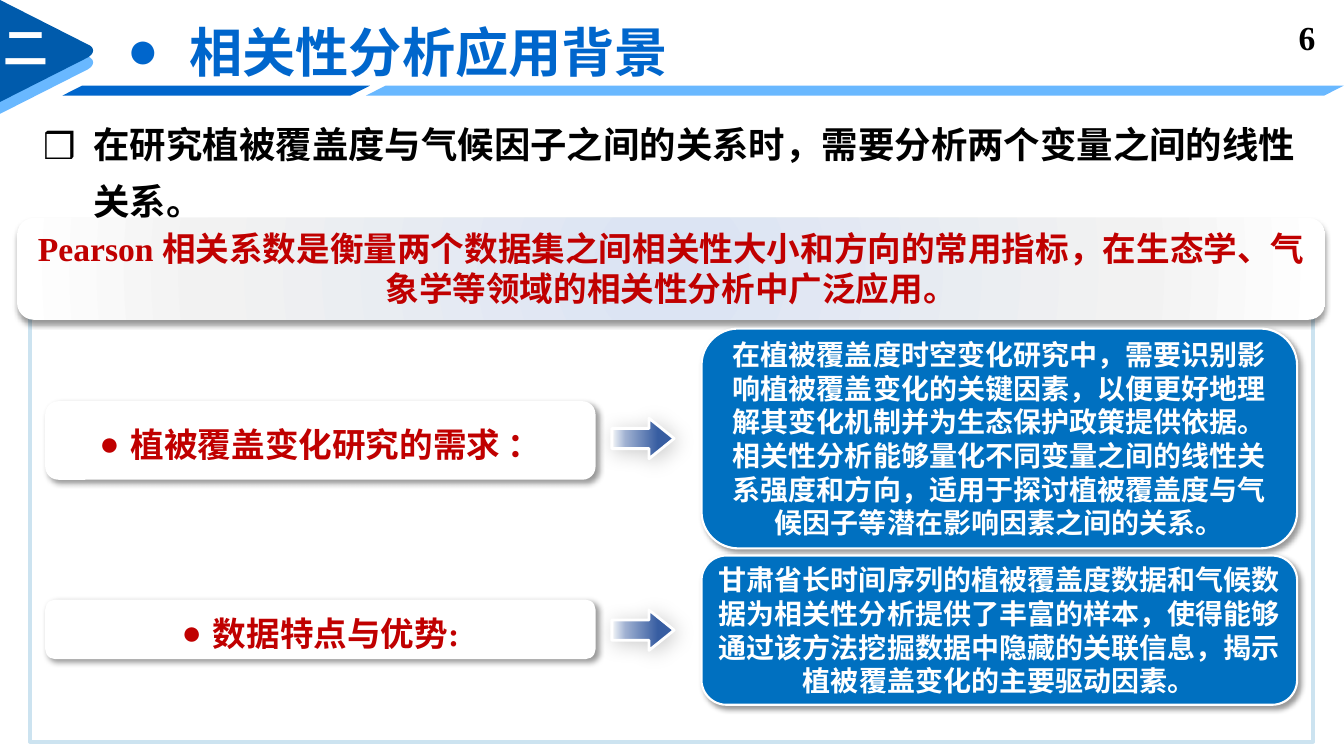
from dataclasses import dataclass

from lxml import etree
from pptx import Presentation
from pptx.dml.color import RGBColor
from pptx.enum.shapes import MSO_SHAPE
from pptx.enum.text import MSO_ANCHOR, PP_ALIGN
from pptx.oxml.ns import qn
from pptx.util import Cm, Pt

RECT, ROUND = MSO_SHAPE.RECTANGLE, MSO_SHAPE.ROUNDED_RECTANGLE
ARROW, BAR = MSO_SHAPE.RIGHT_ARROW, MSO_SHAPE.PARALLELOGRAM
LEFT, CENTER, RIGHT = PP_ALIGN.LEFT, PP_ALIGN.CENTER, PP_ALIGN.RIGHT
TOP, MIDDLE = MSO_ANCHOR.TOP, MSO_ANCHOR.MIDDLE

BLACK = RGBColor(0x00, 0x00, 0x00)
WHITE = RGBColor(0xFF, 0xFF, 0xFF)
RED = RGBColor(0xC0, 0x00, 0x00)
TITLE_BLUE = RGBColor(0x00, 0x66, 0xCC)
DARK_BLUE = RGBColor(0x00, 0x5B, 0xAC)
LIGHT_BLUE = RGBColor(0x69, 0xB8, 0xFF)
DETAIL_BLUE = RGBColor(0x00, 0x70, 0xC0)
FRAME_BLUE = RGBColor(0xCC, 0xE3, 0xF0)

SERIF, SANS = "Times New Roman", "Noto Sans CJK SC"
BANNER_STOPS = [(0, "DAE3F3", 100), (71, "F2F2F2", 100), (100, "FFFFFF", 100)]
ARROW_STOPS = [(0, "FFFFFF", 62), (8, "DBE2EE", 100), (22, "A2B3D3", 100), (73, "385EA2", 100)]


@dataclass(frozen=True)
class Box:
    x: float
    y: float
    w: float
    h: float

    def emu(self) -> tuple:
        return Cm(self.x), Cm(self.y), Cm(self.w), Cm(self.h)


@dataclass(frozen=True)
class Style:
    size: int
    color: RGBColor
    font: str = SERIF
    align: PP_ALIGN = LEFT
    anchor: MSO_ANCHOR = TOP
    spacing: float = 1.0
    bullet: str = ""
    indent: float = 0


@dataclass(frozen=True)
class Topic:
    label: str
    label_box: Box
    arrow_y: float
    detail: str
    detail_box: Box


INTRO = Style(26, BLACK, SANS, spacing=1.3, bullet="❒", indent=1.27)
PAGE = Style(24, BLACK, align=RIGHT)
TITLE = Style(38, TITLE_BLUE, anchor=MIDDLE, spacing=1.5, bullet="●", indent=1.57)
NUMERAL = Style(32, WHITE)
BANNER = Style(24, RED, align=CENTER)
LABEL = Style(24, RED, align=CENTER, anchor=MIDDLE, spacing=1.2, bullet="●", indent=0.79)
DETAIL = Style(20, WHITE, align=CENTER, anchor=MIDDLE)

TOPICS = [
    Topic("植被覆盖变化研究的需求 ：", Box(1.14, 10.11, 13.87, 1.98), 10.54,
          "在植被覆盖度时空变化研究中，需要识别影响植被覆盖变化的关键因素，"
          "以便更好地理解其变化机制并为生态保护政策提供依据。"
          "相关性分析能够量化不同变量之间的线性关系强度和方向，"
          "适用于探讨植被覆盖度与气候因子等潜在影响因素之间的关系。",
          Box(17.68, 8.28, 15.01, 5.54)),
    Topic("数据特点与优势:", Box(1.14, 15.11, 13.87, 1.5), 15.37,
          "甘肃省长时间序列的植被覆盖度数据和气候数据为相关性分析提供了丰富的样本，"
          "使得能够通过该方法挖掘数据中隐藏的关联信息，揭示植被覆盖变化的主要驱动因素。",
          Box(17.68, 14, 15.01, 3.76)),
]


def child(parent, tag: str, **attrs):
    return etree.SubElement(parent, qn(tag), {k: str(v) for k, v in attrs.items()})


def write(sp, text: str, style: Style) -> None:
    tf = sp.text_frame
    tf.word_wrap = True
    tf.vertical_anchor = style.anchor
    p = tf.paragraphs[0]
    if style.bullet:
        ppr = p._p.get_or_add_pPr()
        ppr.set("marL", str(Cm(style.indent)))
        ppr.set("indent", str(-Cm(style.indent)))
        child(ppr, "a:buFont", typeface=style.font)
        child(ppr, "a:buChar", char=style.bullet)
    p.alignment = style.align
    p.line_spacing = Pt(round(style.size * 1.2 * style.spacing, 1))
    r = p.add_run()
    r.text = text
    r.font.size = Pt(style.size)
    r.font.bold = True
    r.font.name = style.font
    r.font.color.rgb = style.color
    child(r._r.get_or_add_rPr(), "a:ea", typeface=SANS)


def add_text(slide, box: Box, text: str, style: Style) -> None:
    write(slide.shapes.add_textbox(*box.emu()), text, style)


def paint(sp, fill: RGBColor | None, line: RGBColor | None = None, width: float = 0) -> None:
    sp.shadow.inherit = False
    if fill is None:
        sp.fill.background()
    else:
        sp.fill.solid()
        sp.fill.fore_color.rgb = fill
    if line is None:
        sp.line.fill.background()
    else:
        sp.line.color.rgb = line
        sp.line.width = Pt(width)


def add_shape(slide, kind: MSO_SHAPE, box: Box, fill: RGBColor | None,
              line: RGBColor | None = None, width: float = 0):
    sp = slide.shapes.add_shape(kind, *box.emu())
    paint(sp, fill, line, width)
    return sp


def add_shadow(sp, angle: int, alpha: int = 40, blur: int = 4) -> None:
    effects = sp._element.spPr.find(qn("a:effectLst"))
    shadow = child(effects, "a:outerShdw", blurRad=Pt(blur), dist=Pt(3),
                   dir=angle * 60000, algn="ctr", rotWithShape=0)
    color = child(shadow, "a:srgbClr", val="000000")
    child(color, "a:alpha", val=alpha * 1000)


def add_gradient(sp, stops: list, radial: bool = False) -> None:
    sp.fill.gradient()
    grad = sp._element.spPr.find(qn("a:gradFill"))
    for old in list(grad):
        grad.remove(old)
    stop_list = child(grad, "a:gsLst")
    for pos, rgb, alpha in stops:
        color = child(child(stop_list, "a:gs", pos=pos * 1000), "a:srgbClr", val=rgb)
        if alpha < 100:
            child(color, "a:alpha", val=alpha * 1000)
    if radial:
        way = child(grad, "a:path", path="circle")
        child(way, "a:fillToRect", l=50000, t=50000, r=50000, b=50000)
    else:
        child(grad, "a:lin", ang=0, scaled=0)


def add_chevron(slide, top: float, fill: RGBColor) -> None:
    curve = [(2.21, 1.12), (2.39, 1.19), (2.39, 1.35), (2.21, 1.45)]
    points = []
    for step in range(13):
        t = step / 12
        weights = ((1 - t) ** 3, 3 * t * (1 - t) ** 2, 3 * t * t * (1 - t), t ** 3)
        x, y = (sum(w * c[axis] for w, c in zip(weights, curve)) for axis in (0, 1))
        points.append((Cm(x), Cm(top + y)))
    builder = slide.shapes.build_freeform(0, Cm(top))
    builder.add_line_segments(points + [(0, Cm(top + 2.57))], close=True)
    paint(builder.convert_to_shape(), fill)


def add_bar(slide, x: float, width: float, fill: RGBColor) -> None:
    sp = add_shape(slide, BAR, Box(x, 2.16, width, 0.25), fill)
    sp.adjustments[0] = 1.97
    sp.rotation = 180


def add_topic(slide, topic: Topic) -> None:
    detail = add_shape(slide, ROUND, topic.detail_box, DETAIL_BLUE, WHITE, 1.5)
    add_shadow(detail, 45)
    write(detail, topic.detail, DETAIL)
    label = add_shape(slide, ROUND, topic.label_box, WHITE)
    add_shadow(label, 45)
    write(label, topic.label, LABEL)
    arrow = add_shape(slide, ARROW, Box(15.42, topic.arrow_y, 1.57, 1.02), WHITE, WHITE, 2)
    arrow.adjustments[1] = 0.62
    add_gradient(arrow, ARROW_STOPS)
    add_shadow(arrow, 45, 20, 15)


def main() -> None:
    prs = Presentation()
    prs.slide_width, prs.slide_height = Cm(33.87), Cm(19.05)
    slide = prs.slides.add_slide(prs.slide_layouts[6])
    add_text(slide, Box(0.84, 2.62, 32.21, 3),
             "在研究植被覆盖度与气候因子之间的关系时，需要分析两个变量之间的线性关系。", INTRO)
    add_text(slide, Box(25.78, 0.3, 7.62, 1.02), "6", PAGE)
    add_text(slide, Box(2.95, -0.18, 14.73, 2.13), "相关性分析应用背景", TITLE)
    add_bar(slide, 1.57, 7.75, TITLE_BLUE)
    add_chevron(slide, 0.3, LIGHT_BLUE)
    add_chevron(slide, 0, DARK_BLUE)
    add_text(slide, Box(-0.15, 0.36, 2.67, 1.63), "二", NUMERAL)
    add_bar(slide, 9.22, 24.64, LIGHT_BLUE)
    add_shape(slide, RECT, Box(0.76, 5.94, 32.33, 12.75), None, FRAME_BLUE, 3)
    banner = add_shape(slide, ROUND, Box(0.43, 5.49, 32.97, 2.57), WHITE)
    add_gradient(banner, BANNER_STOPS, radial=True)
    add_shadow(banner, 90)
    write(banner, "Pearson 相关系数是衡量两个数据集之间相关性大小和方向的常用指标，"
                  "在生态学、气象学等领域的相关性分析中广泛应用。", BANNER)
    for topic in TOPICS:
        add_topic(slide, topic)
    prs.save("out.pptx")


if __name__ == "__main__":
    main()
